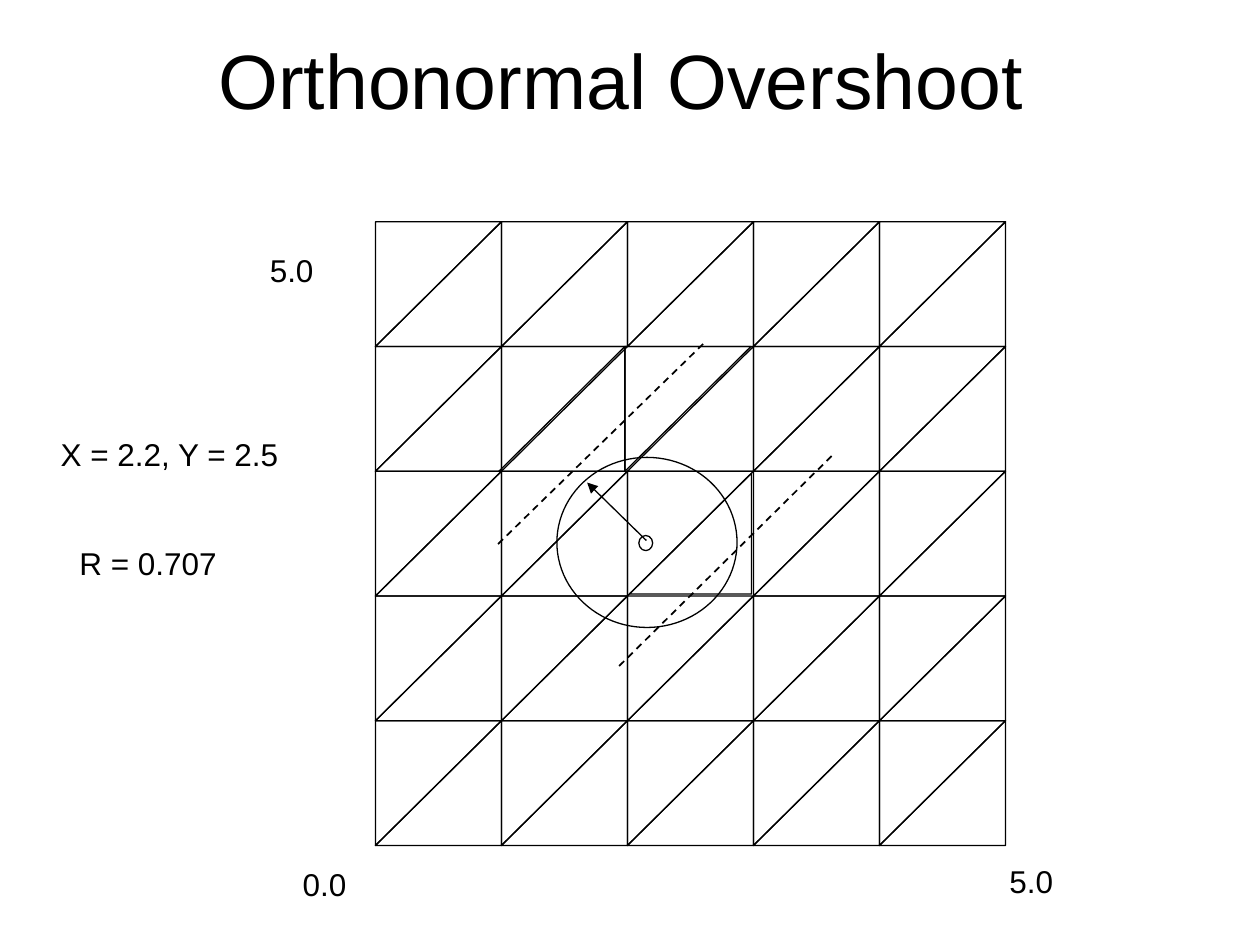
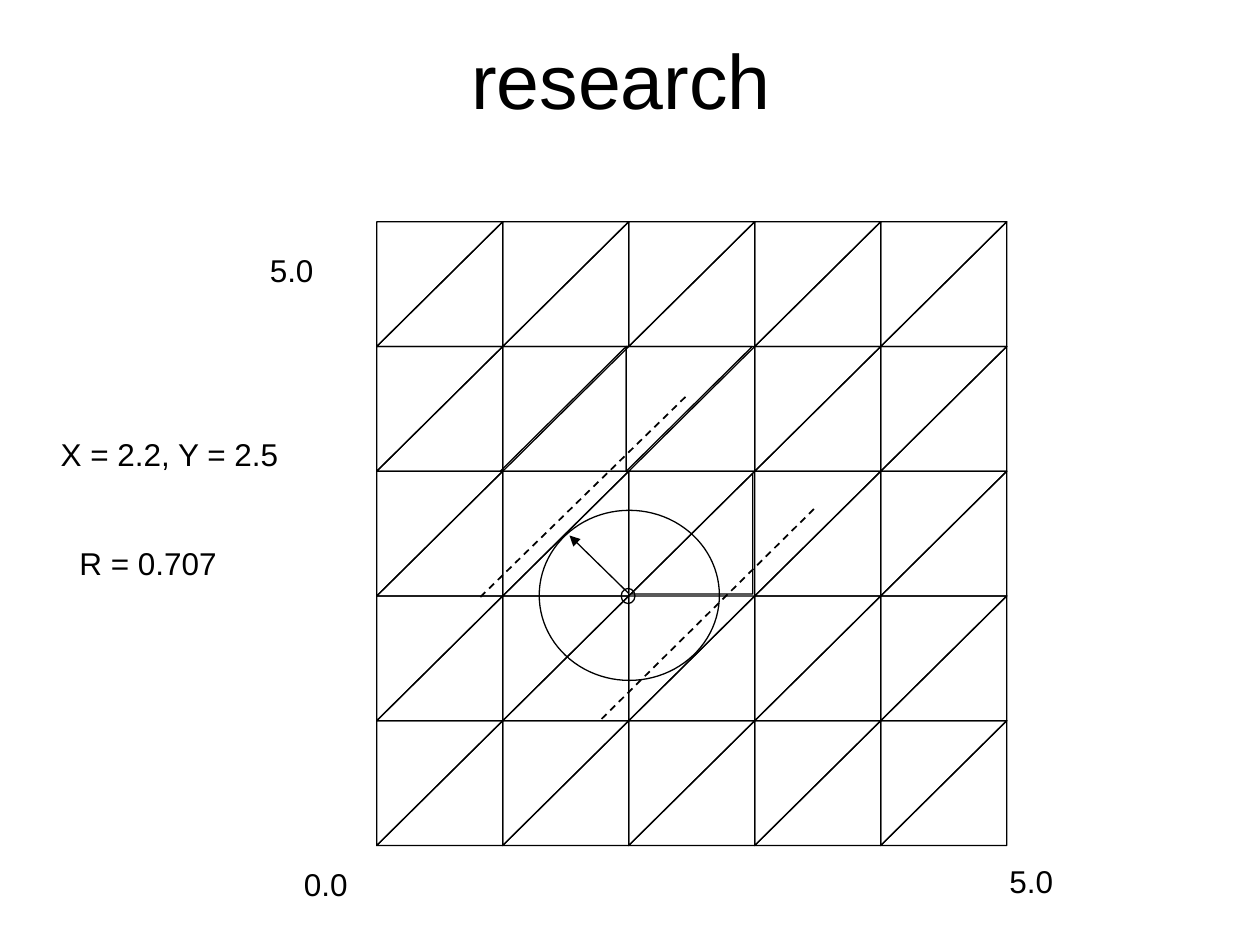
from itertools import product
from pptx import Presentation
from pptx.dml.color import RGBColor
from pptx.enum import dml, shapes, text
from pptx.oxml.ns import qn
from pptx.util import Inches, Pt
from lxml import etree

BLACK = RGBColor(0, 0, 0)
FONT = "Arial"
SIDE = 5                    # cells along each side of the mesh
CELL_W, CELL_H = 1.0, 0.99  # one mesh cell
SHIFT = {(1, 1, 270): -0.02, (1, 2, 90): -0.02}  # (row, column, turn)
INSET = {(2, 2, 270): 0.03}
LABELS = [("5.0", 1.76, 1.94, 1.11), ("5.0", 7.63, 6.79, 1.11),
          ("X = 2.2, Y = 2.5", 0.32, 3.4, 2.05), ("R = 0.707", 0.32, 4.27, 1.71)]
# title, mesh left, probe corner
SLIDES = [("Orthonormal Overshoot", 2.98, (3.93, 2.73)),
          ("research", 2.99, (3.79, 3.15))]


def style(para, size):
    para.alignment = text.PP_ALIGN.CENTER
    para.font.size = Pt(size)
    para.font.name = FONT
    para.font.color.rgb = BLACK


def outline(host, kind, x, y, w, h):
    shape = host.add_shape(kind, Inches(x), Inches(y), Inches(w), Inches(h))
    shape.shadow.inherit = False
    shape.fill.background()
    shape.line.color.rgb = BLACK
    shape.line.width = Pt(0.75)
    return shape


def stroke(host, x1, y1, x2, y2, width):
    line = host.add_connector(shapes.MSO_CONNECTOR.STRAIGHT,
                              Inches(x1), Inches(y1), Inches(x2), Inches(y2))
    line.line.color.rgb = BLACK
    line.line.width = Pt(width)
    etree.SubElement(line._element.spPr, qn("a:effectLst"))
    return line


def label(host, words, x, y, w):
    box = host.add_textbox(Inches(x), Inches(y), Inches(w), Inches(0.4))
    frame = box.text_frame
    frame.word_wrap = True
    frame.auto_size = text.MSO_AUTO_SIZE.SHAPE_TO_FIT_TEXT
    para = frame.paragraphs[0]
    para.text = words
    para.space_before = Pt(11.2)
    style(para, 18)


def heading(slide, words):
    title = slide.shapes.title
    title.left, title.top = Inches(0.43), Inches(0)
    title.width, title.height = Inches(9), Inches(1.25)
    frame = title.text_frame
    frame.text = words
    frame.auto_size = text.MSO_AUTO_SIZE.NONE
    frame.vertical_anchor = text.MSO_ANCHOR.MIDDLE
    style(frame.paragraphs[0], 44)


def mesh(slide, left, top):
    """Square mesh, each cell split into two turned right triangles."""
    group = slide.shapes.add_group_shape().shapes
    for key in product(range(SIDE), range(SIDE), (270, 90)):
        row, col, turn = key
        # a quarter turn swaps the sides, so size and place by the centre
        inset = INSET.get(key, 0)
        w, h = CELL_H - inset, CELL_W - inset
        mid_x = left + (col + 0.5) * CELL_W + SHIFT.get(key, 0)
        mid_y = top + (row + 0.5) * CELL_H
        half = outline(group, shapes.MSO_SHAPE.RIGHT_TRIANGLE,
                       mid_x - w / 2, mid_y - h / 2, w, h)
        half.rotation = turn
    label(group, "0.0", left - 0.96, top + 5.06, 1.11)


def probe(slide, left, top):
    """Search circle with its radius arrow between two dashed bounds."""
    group = slide.shapes.add_group_shape().shapes

    def bound(x1, y1, x2, y2):
        line = stroke(group, left + x1, top + y1, left + x2, top + y2, 1)
        line.line.dash_style = dml.MSO_LINE.DASH

    def ring(x, y, w, h):
        outline(group, shapes.MSO_SHAPE.OVAL, left + x, top + y, w, h)

    bound(1.65, 0, 0, 1.61)
    ring(0.49, 0.9, 1.43, 1.35)
    arrow = stroke(group, left + 1.2, top + 1.56, left + 0.73, top + 1.1, 0.75)
    etree.SubElement(arrow.line._get_or_add_ln(), qn("a:tailEnd"), type="triangle")
    ring(1.14, 1.52, 0.11, 0.12)
    bound(2.67, 0.89, 0.96, 2.58)


def main():
    deck = Presentation()
    deck.slide_width, deck.slide_height = Inches(10), Inches(7.5)
    for title, left, corner in SLIDES:
        slide = deck.slides.add_slide(deck.slide_layouts[5])
        heading(slide, title)
        mesh(slide, left, 1.76)
        for item in LABELS:
            label(slide.shapes, *item)
        probe(slide, *corner)
    deck.save("out.pptx")


if __name__ == "__main__":
    main()
